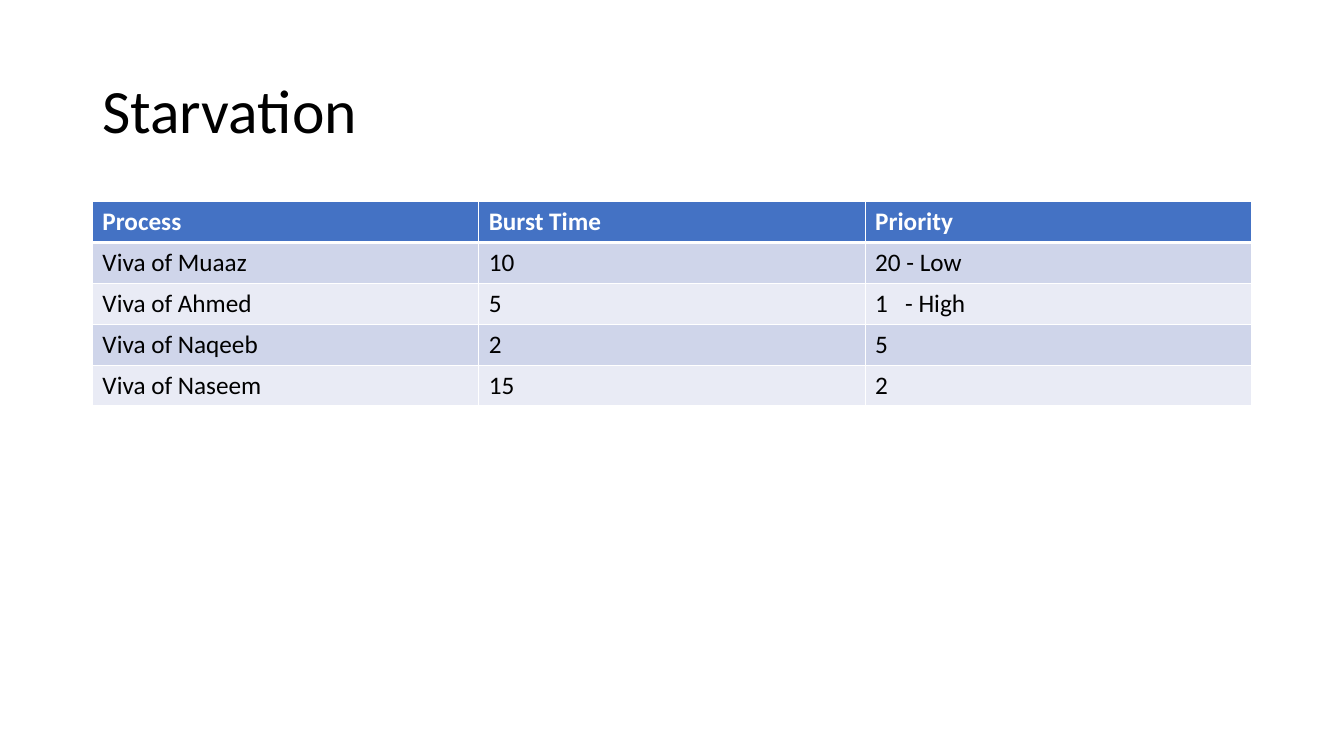
from dataclasses import dataclass

from lxml.etree import SubElement
from pptx import Presentation
from pptx.dml.color import RGBColor
from pptx.enum.text import MSO_ANCHOR
from pptx.oxml.ns import qn
from pptx.slide import Slide
from pptx.table import _Cell
from pptx.text.text import TextFrame
from pptx.util import Pt


@dataclass(frozen=True)
class Theme:
    """Colours, font and sizes of the slide."""
    font: str = "Calibri"
    title_size: float = 44
    cell_size: float = 18
    ink: str = "000000"
    white: str = "FFFFFF"
    header: str = "4472C4"
    bands: tuple[str, str] = ("CFD5EA", "E9EBF5")
    rule: float = 1
    header_rule: float = 3


@dataclass(frozen=True)
class Process:
    """One scheduled process."""
    name: str
    burst: str
    priority: str


THEME = Theme()
LEFT, WIDTH = 66, 828
TABLE_TOP, ROW_HEIGHT = 144, 29.2
PRIORITY_TAB = 21.4
HEADER = Process("Process", "Burst Time", "Priority")
PROCESSES = [
    Process("Viva of Muaaz", "10", "20 - Low"),
    Process("Viva of Ahmed", "5", "1\t- High"),
    Process("Viva of Naqeeb", "2", "5"),
    Process("Viva of Naseem", "15", "2"),
]


def write(tf: TextFrame, text: str, *, size: float, color: str = THEME.ink,
          bold: bool = False, spacing: float = 1, tab: float | None = None) -> None:
    """Write one formatted paragraph."""
    p = tf.paragraphs[0]
    p.line_spacing = spacing
    if tab is not None:
        tabs = SubElement(p._p.get_or_add_pPr(), qn("a:tabLst"))
        SubElement(tabs, qn("a:tab"), pos=str(Pt(tab)), algn="l")
    r = p.add_run()
    r.text = text
    r.font.name = THEME.font
    r.font.size = Pt(size)
    r.font.bold = bold
    r.font.color.rgb = RGBColor.from_string(color)


def style_cell(cell: _Cell, fill: str, top: float, bottom: float) -> None:
    """Give a cell its white borders and its fill."""
    tc_pr = cell._tc.get_or_add_tcPr()
    widths = {"lnL": THEME.rule, "lnR": THEME.rule, "lnT": top, "lnB": bottom}
    for side, width in widths.items():
        ln = SubElement(tc_pr, qn(f"a:{side}"), w=str(Pt(width)))
        SubElement(SubElement(ln, qn("a:solidFill")), qn("a:srgbClr"), val=THEME.white)
    cell.fill.solid()
    cell.fill.fore_color.rgb = RGBColor.from_string(fill)


def add_title(s: Slide, text: str) -> None:
    """Add the slide title."""
    tf = s.shapes.add_textbox(Pt(LEFT), Pt(28.75), Pt(WIDTH), Pt(104.4)).text_frame
    tf.word_wrap = True
    tf.vertical_anchor = MSO_ANCHOR.MIDDLE
    write(tf, text, size=THEME.title_size, spacing=0.9)


def add_process_table(s: Slide, processes: list[Process]) -> None:
    """Add the table with its header and banded rows."""
    rows = [HEADER, *processes]
    table = s.shapes.add_table(len(rows), 3, Pt(LEFT), Pt(TABLE_TOP), Pt(WIDTH),
                               Pt(ROW_HEIGHT * len(rows))).table
    for i, process in enumerate(rows):
        table.rows[i].height = Pt(ROW_HEIGHT)
        is_header = i == 0
        fill = THEME.header if is_header else THEME.bands[(i - 1) % 2]
        top = THEME.header_rule if i == 1 else THEME.rule
        bottom = THEME.header_rule if is_header else THEME.rule
        for j, text in enumerate((process.name, process.burst, process.priority)):
            cell = table.cell(i, j)
            style_cell(cell, fill, top, bottom)
            write(cell.text_frame, text, size=THEME.cell_size, bold=is_header,
                  color=THEME.white if is_header else THEME.ink,
                  tab=PRIORITY_TAB if "\t" in text else None)


def main() -> None:
    """Build and save the slide."""
    prs = Presentation()
    prs.slide_width, prs.slide_height = Pt(960), Pt(540)
    s = prs.slides.add_slide(prs.slide_layouts[6])
    add_title(s, "Starvation")
    add_process_table(s, PROCESSES)
    prs.save("out.pptx")


if __name__ == "__main__":
    main()
